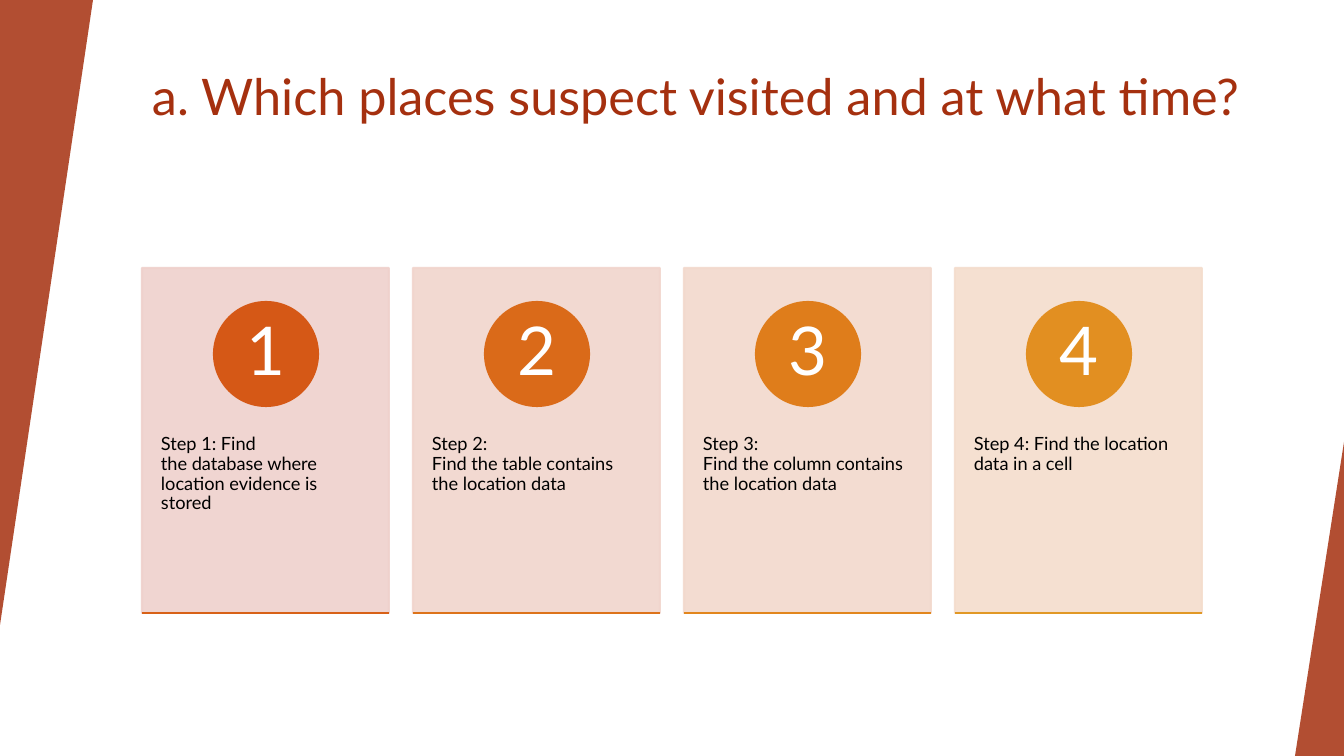
from dataclasses import dataclass

from lxml import etree
from pptx import Presentation
from pptx import util as u
from pptx.dml.color import RGBColor
from pptx.enum import shapes, text
from pptx.oxml import ns

PX = 914400 / 100.8
HARD_SPACE = chr(160)


@dataclass(frozen=True)
class Theme:
    font: str = "Lato"
    accent: str = "A5300F"
    ink: str = "000000"
    paper: str = "FFFFFF"
    title_size: int = 36
    number_size: int = 48
    step_size: int = 13
    line_width: float = 1.5
    line_spacing: float = 0.9


@dataclass(frozen=True)
class Box:
    left: int
    top: int
    width: int
    height: int

    def emu(self) -> list[int]:
        return [px(v) for v in (self.left, self.top, self.width, self.height)]


@dataclass(frozen=True)
class Step:
    wording: str  # "_" joins words that stay on one line
    card: str
    circle: str
    rule: str


THEME = Theme()
STEPS = [
    Step("Step 1: Find the_database_where location evidence is stored",
         "EFD1CC", "D55816", "D86117"),
    Step("Step 2: Find_the_table_contains the location data",
         "F1D5CD", "DA6A19", "DD731A"),
    Step("Step 3: Find_the_column_contains the location data",
         "F2D9CD", "DF7D1B", "E2861D"),
    Step("Step 4: Find the location data in a_cell",
         "F4DDCD", "E28F21", "E19825"),
]
FIRST_CARD = Box(142, 268, 247, 345)
CARD_PITCH = 271
CIRCLE_SIZE = 104


def px(value: float) -> int:
    return round(value * PX)


def set_alpha(color_parent, percent: int) -> None:
    """Make every solid colour below this element partly transparent."""
    for color in color_parent.iter(ns.qn("a:srgbClr")):
        etree.SubElement(color, ns.qn("a:alpha"), val=str(percent * 1000))


def add_filled(page, kind, box: Box, color: str, alpha: int = 100, outlined: bool = False):
    shape = page.shapes.add_shape(kind, *box.emu())
    shape.shadow.inherit = False
    shape.fill.solid()
    shape.fill.fore_color.rgb = RGBColor.from_string(color)
    if outlined:
        shape.line.color.rgb = RGBColor.from_string(color)
        shape.line.width = u.Pt(THEME.line_width)
    else:
        shape.line.fill.background()
    if alpha < 100:
        set_alpha(shape._element.spPr, alpha)
    return shape


def write(shape, wording: str, *, size: int, color: str, inset_x: int, inset_y: int,
          align=text.PP_ALIGN.LEFT, anchor=text.MSO_ANCHOR.TOP) -> None:
    frame = shape.text_frame
    frame.auto_size = text.MSO_AUTO_SIZE.NONE
    frame.word_wrap = True
    frame.vertical_anchor = anchor
    frame.margin_left = frame.margin_right = px(inset_x)
    frame.margin_top = frame.margin_bottom = px(inset_y)
    para = frame.paragraphs[0]
    para.alignment = align
    para.line_spacing = THEME.line_spacing
    span = para.add_run()
    span.text = wording
    span.font.name = THEME.font
    span.font.size = u.Pt(size)
    span.font.color.rgb = RGBColor.from_string(color)


def add_rule(page, left: int, top: int, width: int, color: str) -> None:
    rule = page.shapes.add_connector(
        shapes.MSO_CONNECTOR.STRAIGHT, px(left), px(top), px(left + width), px(top))
    rule.line.color.rgb = RGBColor.from_string(color)
    rule.line.width = u.Pt(THEME.line_width)
    etree.SubElement(rule._element.spPr, ns.qn("a:effectLst"))


def add_edge(page, box: Box, rotation: int = 0) -> None:
    edge = add_filled(page, shapes.MSO_SHAPE.ISOSCELES_TRIANGLE, box, THEME.accent, alpha=85)
    edge.adjustments[0] = 1.0
    edge.rotation = rotation


def add_step(page, number: int, step: Step) -> None:
    card = Box(FIRST_CARD.left + (number - 1) * CARD_PITCH, FIRST_CARD.top,
               FIRST_CARD.width, FIRST_CARD.height)
    add_filled(page, shapes.MSO_SHAPE.RECTANGLE, card, step.card, alpha=90, outlined=True)

    wording = page.shapes.add_textbox(*Box(card.left, card.top + 131, card.width, 207).emu())
    write(wording, step.wording.replace("_", HARD_SPACE),
          size=THEME.step_size, color=THEME.ink, inset_x=19, inset_y=36)

    circle_left = card.left + round((card.width - CIRCLE_SIZE) / 2)
    circle = add_filled(page, shapes.MSO_SHAPE.OVAL,
                        Box(circle_left, card.top + 34, CIRCLE_SIZE, CIRCLE_SIZE),
                        step.circle, outlined=True)
    write(circle, str(number), size=THEME.number_size, color=THEME.paper, inset_x=8, inset_y=1,
          align=text.PP_ALIGN.CENTER, anchor=text.MSO_ANCHOR.MIDDLE)

    add_rule(page, card.left, card.top + card.height, card.width, step.rule)


def main() -> None:
    deck = Presentation()
    deck.slide_width, deck.slide_height = px(1344), px(756)
    page = deck.slides.add_slide(deck.slide_layouts[6])
    page.background.fill.solid()
    page.background.fill.fore_color.rgb = RGBColor.from_string(THEME.paper)

    # Title
    title = page.shapes.add_textbox(*Box(142, 67, 1124, 121).emu())
    write(title, "a. Which places suspect visited and at what time?",
          size=THEME.title_size, color=THEME.accent, inset_x=10, inset_y=5)

    # Slanted edges
    add_edge(page, Box(0, 0, 93, 625), rotation=180)
    add_edge(page, Box(1295, 442, 49, 314))

    # Step cards
    for number, step in enumerate(STEPS, start=1):
        add_step(page, number, step)

    deck.save("out.pptx")


if __name__ == "__main__":
    main()
